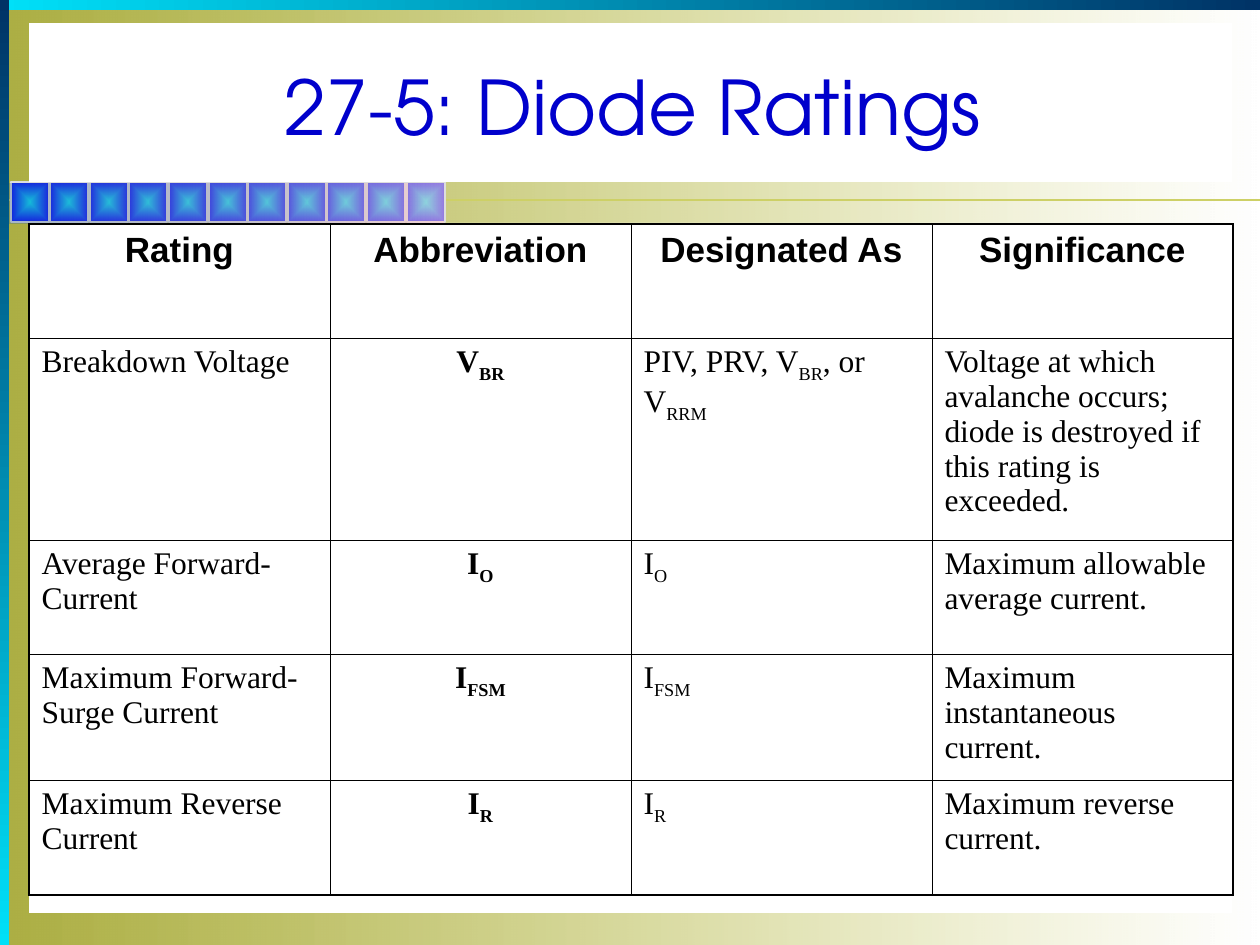
"""Builds the diode ratings slide with its frame, title and table."""
from dataclasses import dataclass

from pptx import Presentation
from pptx.dml.color import RGBColor
from pptx.enum.shapes import MSO_CONNECTOR, MSO_SHAPE
from pptx.enum.text import MSO_ANCHOR, PP_ALIGN
from pptx.oxml import parse_xml
from pptx.oxml.ns import nsdecls, qn
from pptx.util import Emu, Pt


@dataclass
class Theme:
    olive: str = "A6A935"
    lime: str = "D7D985"
    rule: str = "CDD066"
    navy: str = "003366"
    cyan: str = "00E0F8"
    blue: str = "0000FF"
    steel: str = "336699"
    pink: str = "FFCCCC"
    edge: str = "DDDDDD"
    white: str = "FFFFFF"
    ink: str = "000000"
    title: str = "0000CC"
    title_font: str = "TeX Gyre Adventor"
    head_font: str = "Arial"
    body_font: str = "Times New Roman"
    title_size: int = 43
    head_size: int = 20
    body_size: int = 18
    thin: float = 0.45
    thick: float = 1.08


theme = Theme()
PX = 914400 / 126


def add_box(x, y, w, h, color):
    box = slide.shapes.add_shape(
        MSO_SHAPE.RECTANGLE, *[Emu(round(n * PX)) for n in (x, y, w, h)])
    box.shadow.inherit = False
    box.line.fill.background()
    box.fill.solid()
    box.fill.fore_color.rgb = RGBColor.from_string(color)
    return box


def add_fade(x, y, w, h, start, end, way, alphas=(100, 100)):
    box = add_box(x, y, w, h, theme.white)
    stops = "".join(
        f'<a:gs pos="{pos}"><a:srgbClr val="{color}">'
        f'<a:alpha val="{alpha * 1000}"/></a:srgbClr></a:gs>'
        for pos, color, alpha in zip((0, 100000), (start, end), alphas))
    if way == "rect":
        course = ('<a:path path="rect"><a:fillToRect l="50000" t="50000" '
                  'r="50000" b="50000"/></a:path>')
    else:
        course = f'<a:lin ang="{way * 60000}" scaled="0"/>'
    props = box._element.spPr
    props.replace(props.find(qn("a:solidFill")), parse_xml(
        f'<a:gradFill {nsdecls("a")} rotWithShape="1">'
        f'<a:gsLst>{stops}</a:gsLst>{course}</a:gradFill>'))
    return box


deck = Presentation()
deck.slide_width = Emu(round(1260 * PX))
deck.slide_height = Emu(round(945 * PX))
slide = deck.slides.add_slide(deck.slide_layouts[6])

for layer in range(2):
    add_fade(0, 0, 1260, 945, theme.olive, theme.lime, 0, (73, 0))
add_box(29, 223, 1203, 690, theme.white)
add_fade(0, 0, 1260, 10, theme.cyan, theme.navy, 0)

rule = slide.shapes.add_connector(
    MSO_CONNECTOR.STRAIGHT, 0, Emu(round(200 * PX)),
    deck.slide_width, Emu(round(200 * PX)))
rule.line.color.rgb = RGBColor.from_string(theme.rule)
rule.line.width = Pt(1.5)
rule._element.spPr.append(parse_xml(f'<a:effectLst {nsdecls("a")}/>'))

for step in range(11):
    tile = add_fade(11 + step * 396 // 10, 182, 38, 40,
                    theme.cyan, theme.blue, "rect")
    tile.line.color.rgb = RGBColor.from_string(theme.edge)
    tile.line.width = Pt(0.75)
add_fade(1, 184, 443, 40, theme.steel, theme.pink, 0, (32, 59))
add_fade(0, 0, 9, 945, theme.navy, theme.cyan, 90)
add_box(29, 23, 1203, 159, theme.white)

title = slide.shapes.add_textbox(
    *[Emu(round(n * PX)) for n in (37, 28, 1192, 155)])
frame = title.text_frame
frame.word_wrap = True
frame.vertical_anchor = MSO_ANCHOR.MIDDLE
frame.text = "27-5: Diode Ratings"
para = frame.paragraphs[0]
para.alignment = PP_ALIGN.CENTER
font = para.runs[0].font
font.name = theme.title_font
font.size = Pt(theme.title_size)
font.color.rgb = RGBColor.from_string(theme.title)

rows = [
    ("Rating", "Abbreviation", "Designated As", "Significance"),
    ("Breakdown Voltage", "V|BR", "PIV, PRV, V|BR|, or V|RRM",
     "Voltage at which avalanche occurs; diode is destroyed if this rating "
     "is exceeded."),
    ("Average Forward-Current", "I|O", "I|O",
     "Maximum allowable average current."),
    ("Maximum Forward-Surge Current", "I|FSM", "I|FSM",
     "Maximum instantaneous current."),
    ("Maximum Reverse Current", "I|R", "I|R", "Maximum reverse current."),
]
heights = (114, 202, 114, 126, 115)
last_row, last_col = len(rows) - 1, len(rows[0]) - 1
table = slide.shapes.add_table(
    len(rows), len(rows[0]),
    *[Emu(round(n * PX)) for n in (29, 224, 1204, sum(heights))]).table
table.first_row = False
table.horz_banding = False
for col in table.columns:
    col.width = Emu(round(301 * PX))

for i, (row, height) in enumerate(zip(rows, heights)):
    table.rows[i].height = Emu(round(height * PX))
    for j, text in enumerate(row):
        cell = table.cell(i, j)
        cell.fill.background()
        sides = {"lnL": j == 0, "lnR": j == last_col,
                 "lnT": i == 0, "lnB": i == last_row}
        props = cell._tc.get_or_add_tcPr()
        for k, (side, outer) in enumerate(sides.items()):
            width = Pt(theme.thick if outer else theme.thin)
            props.insert(k, parse_xml(
                f'<a:{side} {nsdecls("a")} w="{width}"><a:solidFill>'
                f'<a:srgbClr val="{theme.ink}"/></a:solidFill></a:{side}>'))
        para = cell.text_frame.paragraphs[0]
        if i == 0 or j == 1:
            para.alignment = PP_ALIGN.CENTER
        for n, part in enumerate(text.split("|")):
            run = para.add_run()
            run.text = part
            font = run.font
            font.name = theme.body_font if i else theme.head_font
            font.size = Pt(theme.body_size if i else theme.head_size)
            font.bold = i == 0 or j == 1
            font.color.rgb = RGBColor.from_string(theme.ink)
            if n % 2:
                run._r.get_or_add_rPr().set("baseline", "-25000")

deck.save("out.pptx")
